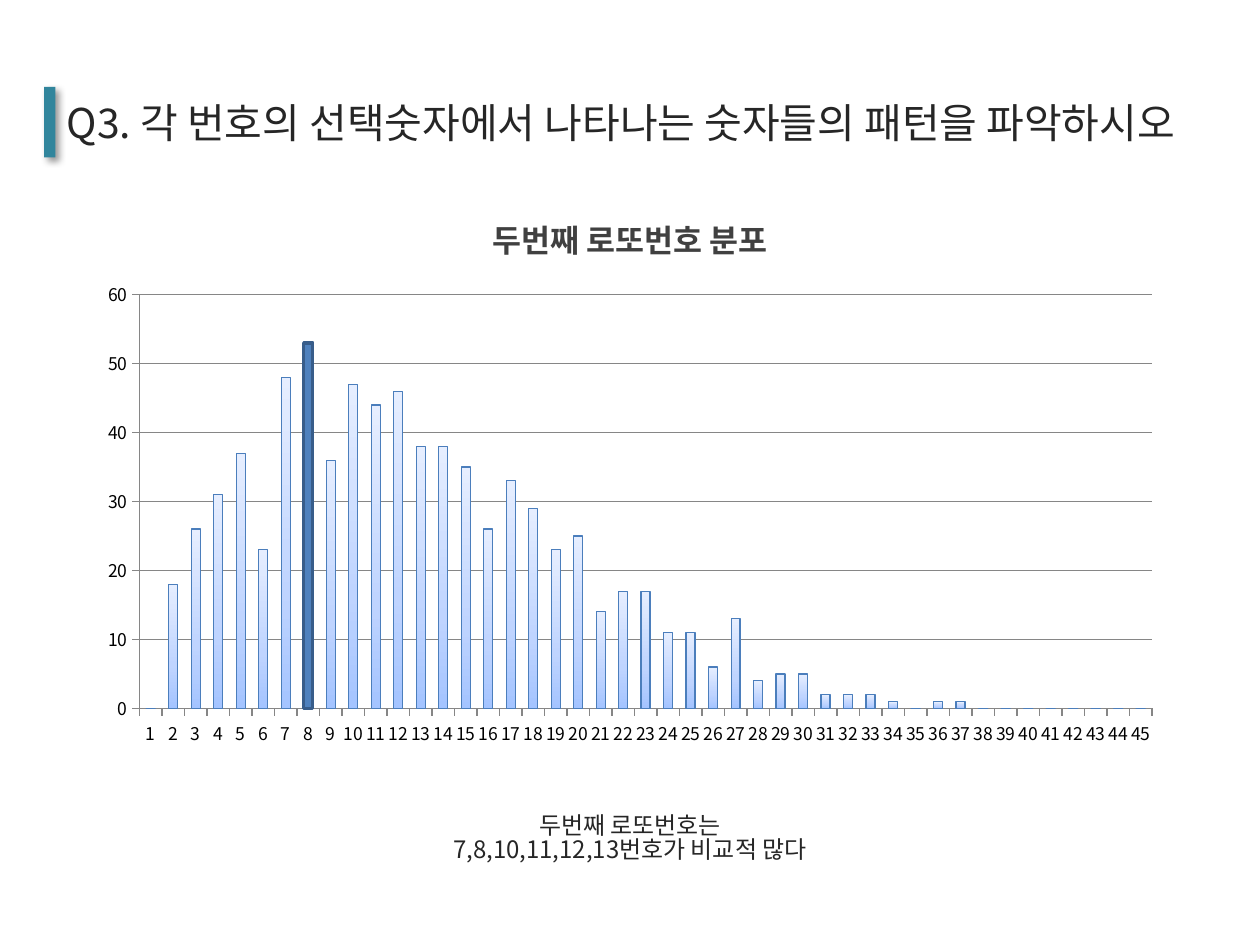
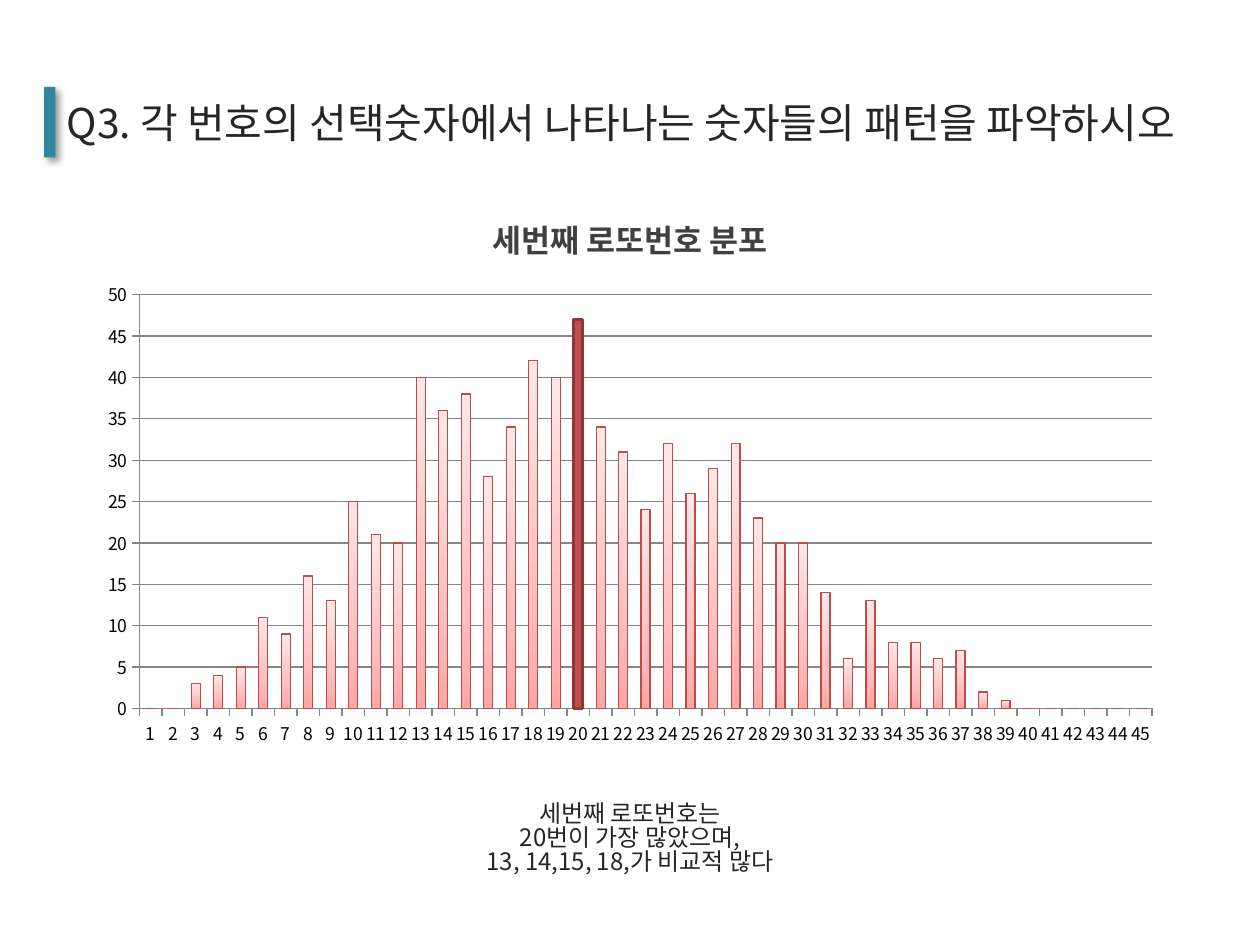
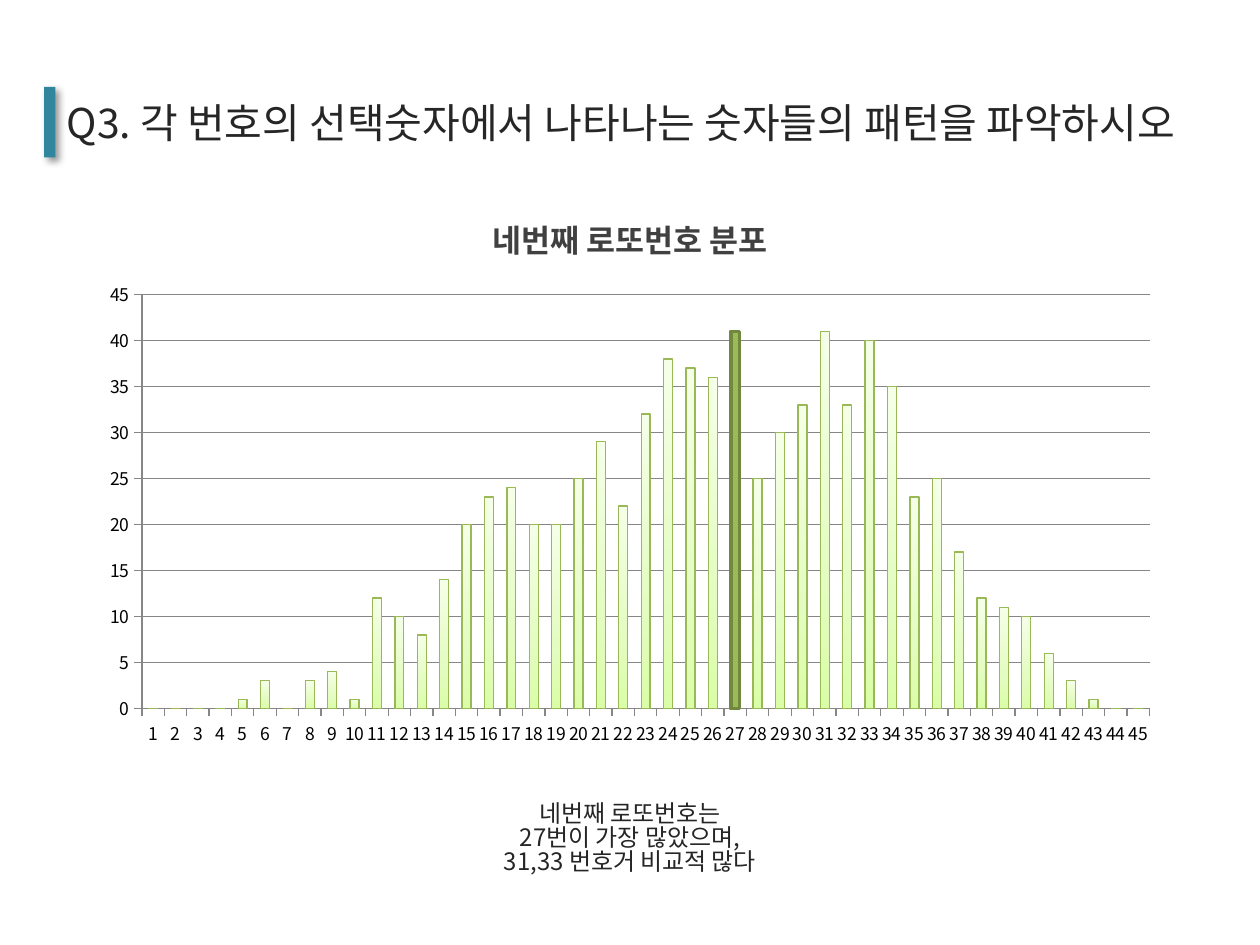
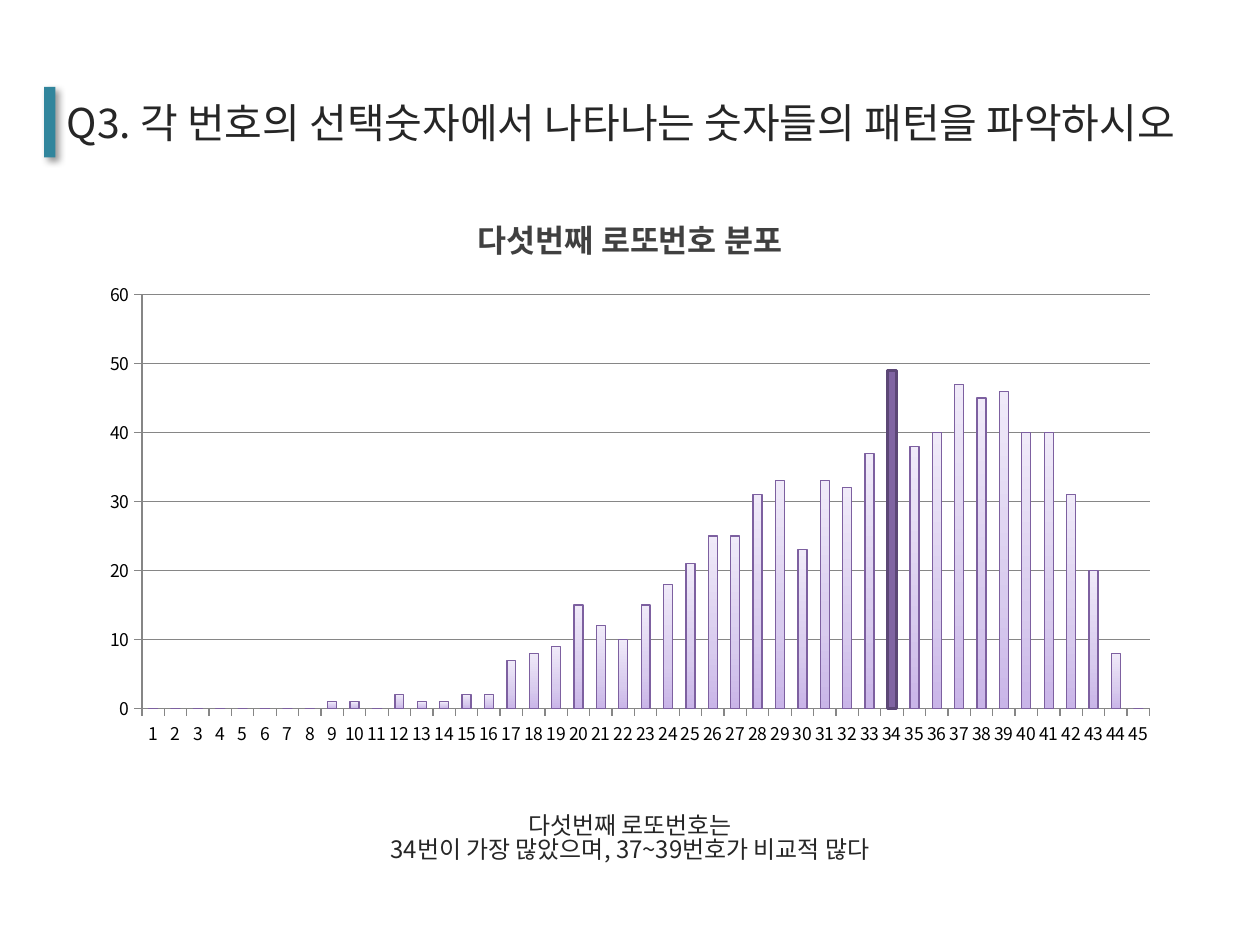
from copy import deepcopy

from lxml import etree
from pptx import Presentation
from pptx.chart.data import CategoryChartData
from pptx.dml.color import RGBColor
from pptx.enum.chart import XL_CHART_TYPE, XL_TICK_MARK
from pptx.enum.shapes import MSO_SHAPE
from pptx.enum.text import MSO_ANCHOR, MSO_AUTO_SIZE, PP_ALIGN
from pptx.oxml import parse_xml
from pptx.oxml.ns import nsdecls, qn
from pptx.util import Inches, Pt

COLUMNS = XL_CHART_TYPE.COLUMN_CLUSTERED
TICK_OUT = XL_TICK_MARK.OUTSIDE
RECTANGLE = MSO_SHAPE.RECTANGLE
MIDDLE = MSO_ANCHOR.MIDDLE
NO_AUTOFIT = MSO_AUTO_SIZE.NONE
LEFT, CENTER = PP_ALIGN.LEFT, PP_ALIGN.CENTER

FONT = "Noto Sans CJK KR"
INK = RGBColor(0x26, 0x26, 0x26)
BLACK = RGBColor(0, 0, 0)
HEADING = RGBColor(0x40, 0x40, 0x40)
GRID = RGBColor(0x86, 0x86, 0x86)
TEAL = RGBColor(0x31, 0x85, 0x9C)

BLUE = ("A4C4FF", "BFD4FF", "E6EEFF", "4B7EBC", "4F81BD", "385D8A")
RED = ("FFA6A5", "FFC0BF", "FFE7E7", "BF4C48", "C0504D", "8C3836")
GREEN = ("DAFDA7", "E4FCC2", "F5FFE7", "98B955", "9BBB59", "71893F")
PURPLE = ("C9B5E8", "D8CBEE", "F0EAF9", "7D60A0", "8064A2", "5C4776")
GRADIENT_POSITIONS = (0, 0.35, 1)

PAGE_WIDTH = 10
NUMBERS = [str(number) for number in range(1, 46)]
QUESTION = "Q3. 각 번호의 선택숫자에서 나타나는 숫자들의 패턴을 파악하시오"

SHADOW = (
    f'<a:effectLst {nsdecls("a")}>'
    '<a:outerShdw blurRad="50800" dist="38100" dir="2700000" algn="tl" rotWithShape="0">'
    '<a:srgbClr val="000000"><a:alpha val="40000"/></a:srgbClr>'
    '</a:outerShdw></a:effectLst>'
)


def style_font(font, size, color, bold=False):
    font.size = Pt(size)
    font.bold = bold
    font.color.rgb = color
    font.name = FONT


def add_east_asian_font(root):
    for latin in list(root.iter(qn("a:latin"))):
        east_asian = etree.Element(qn("a:ea"), typeface=FONT)
        latin.addnext(east_asian)


class LottoDeck:
    def __init__(self):
        self.deck = Presentation()
        self.deck.slide_width = Inches(PAGE_WIDTH)
        self.deck.slide_height = Inches(7.5)
        self.page = None

    def add_page(self):
        self.page = self.deck.slides.add_slide(self.deck.slide_layouts[5])
        self.title()
        self.accent_bar()

    def fill_text(self, box, lines, size, align, spacing):
        frame = box.text_frame
        frame.text = "\n".join(lines)
        frame.word_wrap = True
        frame.auto_size = NO_AUTOFIT
        frame.vertical_anchor = MIDDLE
        for para in frame.paragraphs:
            para.alignment = align
            para.line_spacing = spacing
            style_font(para.font, size, INK)
        add_east_asian_font(box.text_frame._txBody)

    def title(self):
        box = self.page.shapes.title
        box.left, box.top = Inches(0), Inches(0.56)
        box.width, box.height = Inches(PAGE_WIDTH), Inches(0.82)
        self.fill_text(box, [QUESTION], 23.4, LEFT, 1.0)
        box.text_frame.margin_left = Inches(0.53)
        box.text_frame.margin_right = Inches(0)

    def accent_bar(self):
        bar = self.page.shapes.add_shape(
            RECTANGLE, Inches(0.35), Inches(0.69), Inches(0.09), Inches(0.56))
        bar.fill.solid()
        bar.fill.fore_color.rgb = TEAL
        bar.line.fill.background()
        bar._element.spPr.append(parse_xml(SHADOW))

    def caption(self, lines):
        box = self.page.shapes.add_textbox(
            Inches(0), Inches(6.19), Inches(PAGE_WIDTH), Inches(0.94))
        self.fill_text(box, lines, 13.7, CENTER, 0.83)

    def chart(self, heading, values, palette, top_value, step, width):
        data = CategoryChartData()
        data.categories = NUMBERS
        data.add_series("Series 1", values)
        chart = self.page.shapes.add_chart(
            COLUMNS, Inches((PAGE_WIDTH - width) / 2), Inches(1.49),
            Inches(width), Inches(4.52), data).chart
        style_font(chart.font, 10, BLACK)
        chart.has_legend = False
        chart.has_title = True
        chart.chart_title.include_in_layout = False
        para = chart.chart_title.text_frame.paragraphs[0]
        para.text = heading
        style_font(para.font, 18, HEADING, bold=True)
        add_east_asian_font(chart._chartSpace)

        value_axis = chart.value_axis
        value_axis.minimum_scale = 0
        value_axis.maximum_scale = top_value
        value_axis.major_unit = step
        value_axis.has_major_gridlines = True
        for axis in (chart.category_axis, value_axis):
            axis.major_tick_mark = TICK_OUT
        for line in (chart.category_axis.format.line, value_axis.format.line,
                     value_axis.major_gridlines.format.line):
            line.color.rgb = GRID
            line.width = Pt(0.75)

        plot = chart.plots[0]
        plot.gap_width = 150
        plot.vary_by_categories = False
        self.paint_columns(plot.series[0], values, palette)

    def paint_columns(self, series, values, palette):
        *gradient, outline, peak_fill, peak_outline = map(RGBColor.from_string, palette)
        fill = series.format.fill
        fill.gradient()
        fill.gradient_angle = 90
        stop_list = series._element.find(".//" + qn("a:gsLst"))
        stop_list.append(deepcopy(stop_list[-1]))
        for stop, position, color in zip(fill.gradient_stops, GRADIENT_POSITIONS, gradient):
            stop.position = position
            stop.color.rgb = color
        series.format.line.color.rgb = outline
        series.format.line.width = Pt(0.75)

        peak = series.points[values.index(max(values))].format
        peak.fill.solid()
        peak.fill.fore_color.rgb = peak_fill
        peak.line.color.rgb = peak_outline
        peak.line.width = Pt(2)


PAGES = [
    ("두번째", BLUE, 60, 10, 8.63,
     [0, 18, 26, 31, 37, 23, 48, 53, 36, 47, 44, 46, 38, 38, 35,
      26, 33, 29, 23, 25, 14, 17, 17, 11, 11, 6, 13, 4, 5, 5,
      2, 2, 2, 1, 0, 1, 1, 0, 0, 0, 0, 0, 0, 0, 0],
     ["7,8,10,11,12,13번호가 비교적 많다"]),
    ("세번째", RED, 50, 5, 8.63,
     [0, 0, 3, 4, 5, 11, 9, 16, 13, 25, 21, 20, 40, 36, 38,
      28, 34, 42, 40, 47, 34, 31, 24, 32, 26, 29, 32, 23, 20, 20,
      14, 6, 13, 8, 8, 6, 7, 2, 1, 0, 0, 0, 0, 0, 0],
     ["20번이 가장 많았으며,", "13, 14,15, 18,가 비교적 많다"]),
    ("네번째", GREEN, 45, 5, 8.59,
     [0, 0, 0, 0, 1, 3, 0, 3, 4, 1, 12, 10, 8, 14, 20,
      23, 24, 20, 20, 25, 29, 22, 32, 38, 37, 36, 41, 25, 30, 33,
      41, 33, 40, 35, 23, 25, 17, 12, 11, 10, 6, 3, 1, 0, 0],
     ["27번이 가장 많았으며,", "31,33 번호거 비교적 많다"]),
    ("다섯번째", PURPLE, 60, 10, 8.59,
     [0, 0, 0, 0, 0, 0, 0, 0, 1, 1, 0, 2, 1, 1, 2,
      2, 7, 8, 9, 15, 12, 10, 15, 18, 21, 25, 25, 31, 33, 23,
      33, 32, 37, 49, 38, 40, 47, 45, 46, 40, 40, 31, 20, 8, 0],
     ["34번이 가장 많았으며, 37~39번호가 비교적 많다"]),
]

lotto = LottoDeck()
for ordinal, palette, top_value, step, width, values, findings in PAGES:
    lotto.add_page()
    lotto.chart(f"{ordinal} 로또번호 분포", values, palette, top_value, step, width)
    lotto.caption([f"{ordinal} 로또번호는", *findings])
lotto.deck.save("out.pptx")
